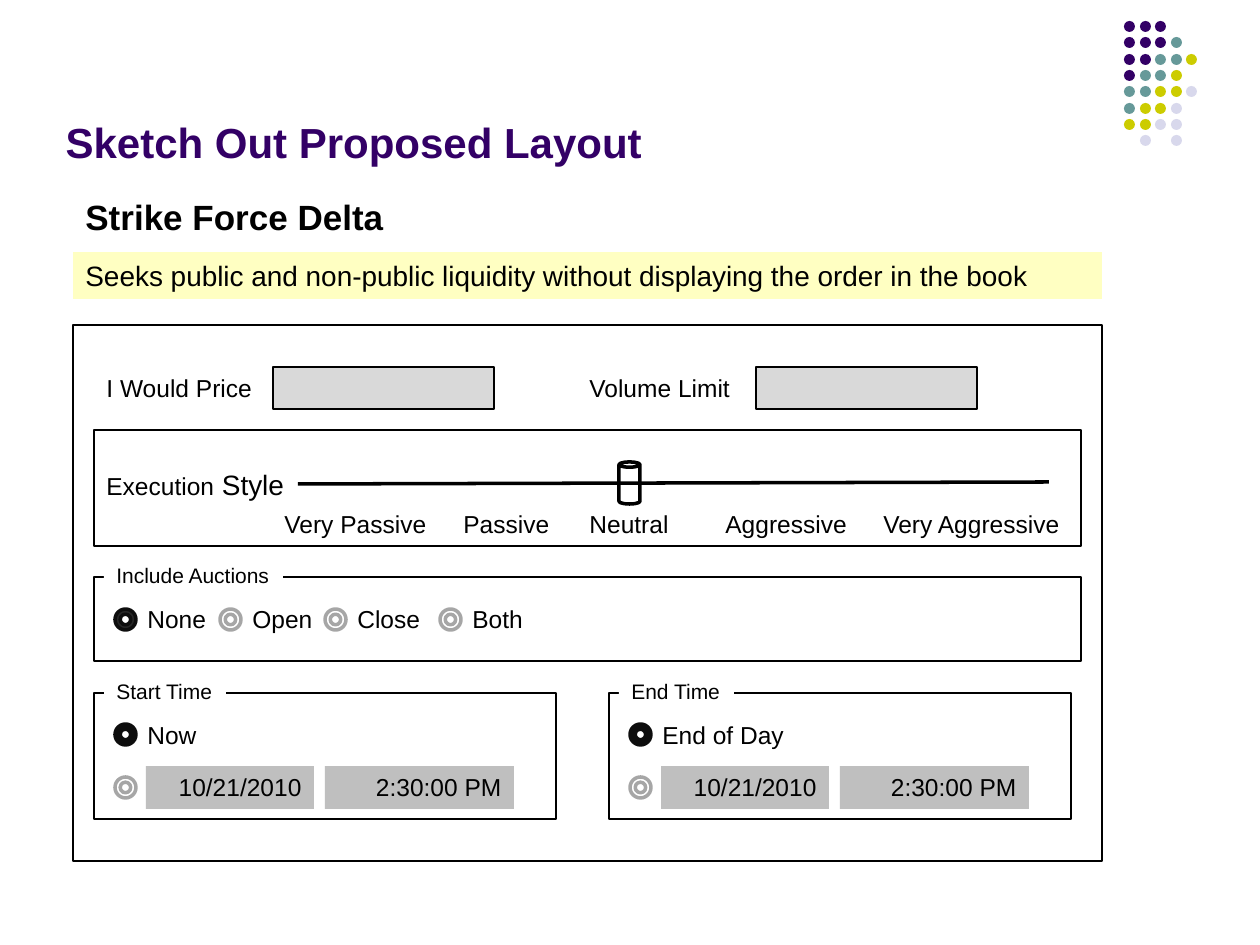
from pptx import Presentation, util as u
from pptx.dml.color import RGBColor
from pptx.enum import shapes, text
from pptx.oxml import parse_xml
from pptx.oxml.ns import nsdecls

BLACK = RGBColor(0x00, 0x00, 0x00)
WHITE = RGBColor(0xFF, 0xFF, 0xFF)
PURPLE = RGBColor(0x33, 0x00, 0x66)
TEAL = RGBColor(0x66, 0x99, 0x99)
OLIVE = RGBColor(0xCC, 0xCC, 0x00)
LAVENDER = RGBColor(0xD8, 0xD8, 0xEC)
CREAM = RGBColor(0xFF, 0xFF, 0xC2)
ENTRY_GREY = RGBColor(0xD9, 0xD9, 0xD9)
VALUE_GREY = RGBColor(0xBF, 0xBF, 0xBF)
RING_GREY = RGBColor(0xA6, 0xA6, 0xA6)
CHARCOAL = RGBColor(0x26, 0x26, 0x26)
INK = RGBColor(0x0D, 0x0D, 0x0D)

SHAPE = shapes.MSO_SHAPE
LEFT, RIGHT = text.PP_ALIGN.LEFT, text.PP_ALIGN.RIGHT
TOP, BOTTOM = text.MSO_ANCHOR.TOP, text.MSO_ANCHOR.BOTTOM
GROW, FIXED = text.MSO_AUTO_SIZE.SHAPE_TO_FIT_TEXT, text.MSO_AUTO_SIZE.NONE

DOT_ROWS = ["PPP", "PPPT", "PPTTO", "PTTO", "TTOOL", "TOOL", "OOLL", " L L"]
DOT_COLORS = {"P": PURPLE, "T": TEAL, "O": OLIVE, "L": LAVENDER}


def px(*lengths):
    return [u.Emu(round(length * 914400 / 126)) for length in lengths]


def write(holder, content, size=14, color=BLACK, bold=False, align=LEFT,
          anchor=TOP, wrap=False, fit=GROW):
    frame = holder.text_frame
    frame.word_wrap = wrap
    frame.auto_size = fit
    frame.vertical_anchor = anchor
    paragraph = frame.paragraphs[0]
    paragraph.alignment = align
    runs = [(content, size)] if isinstance(content, str) else content
    for words, points in runs:
        run = paragraph.add_run()
        run.text = words
        run.font.name = "Arial"
        run.font.size = u.Pt(points)
        run.font.bold = bold
        run.font.color.rgb = color


def label(slide, x, y, w, h, content, **style):
    write(slide.shapes.add_textbox(*px(x, y, w, h)), content, **style)


def block(slide, x, y, w, h, kind=SHAPE.RECTANGLE, fill=None, line=None, weight=1):
    part = slide.shapes.add_shape(kind, *px(x, y, w, h))
    part.shadow.inherit = False
    if fill is None:
        part.fill.background()
    else:
        part.fill.solid()
        part.fill.fore_color.rgb = fill
    if line is None:
        part.line.fill.background()
    else:
        part.line.color.rgb = line
        part.line.width = u.Pt(weight)
    return part


def dot_pattern(slide, x, y):
    for row, marks in enumerate(DOT_ROWS):
        for column, mark in enumerate(marks):
            if mark in DOT_COLORS:
                block(slide, x + round(15.6 * column), y + round(16.3 * row), 11, 11,
                      kind=SHAPE.OVAL, fill=DOT_COLORS[mark])


def heading(slide, x, y, w):
    title = slide.shapes.title
    title.left, title.top, title.width, title.height = px(x, y, w, 78)
    write(title, "Sketch Out Proposed Layout", size=24, color=PURPLE, bold=True,
          anchor=BOTTOM, wrap=True, fit=FIXED)


def strategy(slide, x, y, w):
    label(slide, x, y, 325, 55, "Strike Force Delta", size=20, bold=True)
    summary = block(slide, x, y + 63, w, 47, fill=CREAM)
    write(summary, "Seeks public and non-public liquidity without displaying "
          "the order in the book", size=16, wrap=True)


def entry(slide, x, y, caption, caption_width, field_offset):
    label(slide, x, y, caption_width, 43, caption)
    block(slide, x + field_offset, y, 221, 42, fill=ENTRY_GREY, line=BLACK)


def style_slider(slide, x, y, w, h):
    block(slide, x, y, w, h, line=BLACK)
    label(slide, x, y + 31, 204, 47, [("Execution", 14), (" Style", 16)])
    levels = [(178, 169, "Very Passive"), (357, 112, "Passive"), (483, 105, "Neutral"),
              (619, 147, "Aggressive"), (777, 203, "Very Aggressive")]
    for offset, width, level in levels:
        label(slide, x + offset, y + 73, width, 43, level)
    track = slide.shapes.add_connector(
        shapes.MSO_CONNECTOR.STRAIGHT, *px(x + 204, y + 54, x + 955, y + 52))
    track.line.color.rgb = BLACK
    track.line.width = u.Pt(2)
    track._element.spPr.append(parse_xml("<a:effectLst %s/>" % nsdecls("a")))
    block(slide, x + 525, y + 32, 21, 42, kind=SHAPE.CAN, line=BLACK, weight=2)


def radio(slide, x, y, chosen=None):
    block(slide, x, y, 21, 21, kind=SHAPE.DONUT, fill=chosen or WHITE,
          line=INK if chosen else RING_GREY, weight=2)


def field_set(slide, x, y, w, h, legend, legend_width):
    block(slide, x, y, w, h, line=BLACK)
    write(block(slide, x + 10, y - 21, legend_width, 38, fill=WHITE), legend, size=12)


def auctions(slide, x, y, w, h):
    field_set(slide, x, y, w, h, "Include Auctions", 179)
    options = [(21, 84, "None", CHARCOAL), (126, 86, "Open", None),
               (231, 88, "Close", None), (346, 77, "Both", None)]
    for offset, width, option, chosen in options:
        radio(slide, x + offset, y + 32, chosen)
        label(slide, x + offset + 20, y + 21, width, 43, option)


def time_choice(slide, x, y, legend, legend_width, option, option_width):
    field_set(slide, x, y, 462, 126, legend, legend_width)
    radio(slide, x + 21, y + 31, INK)
    label(slide, x + 41, y + 21, option_width, 43, option)
    radio(slide, x + 21, y + 84)
    for offset, width, value in [(52, 168, "10/21/2010"), (231, 189, "2:30:00 PM")]:
        write(block(slide, x + offset, y + 73, width, 43, fill=VALUE_GREY), value,
              align=RIGHT, wrap=True)


def order_form(slide, x, y, w, h):
    block(slide, x, y, w, h, line=BLACK)
    entry(slide, x + 21, y + 42, "I Would Price", 171, 179)
    entry(slide, x + 504, y + 42, "Volume Limit", 166, 179)
    style_slider(slide, x + 21, y + 105, w - 42, 116)
    auctions(slide, x + 21, y + 252, w - 42, 84)
    time_choice(slide, x + 21, y + 368, "Start Time", 122, "Now", 74)
    time_choice(slide, x + 536, y + 368, "End Time", 115, "End of Day", 147)


deck = Presentation()
deck.slide_width, deck.slide_height = px(1260, 945)
layout_slide = deck.slides.add_slide(deck.slide_layouts[5])
dot_pattern(layout_slide, 1124, 21)
heading(layout_slide, 53, 95, 1040)
order_form(layout_slide, 73, 325, 1029, 536)
strategy(layout_slide, 73, 189, 1029)
deck.save("out.pptx")
